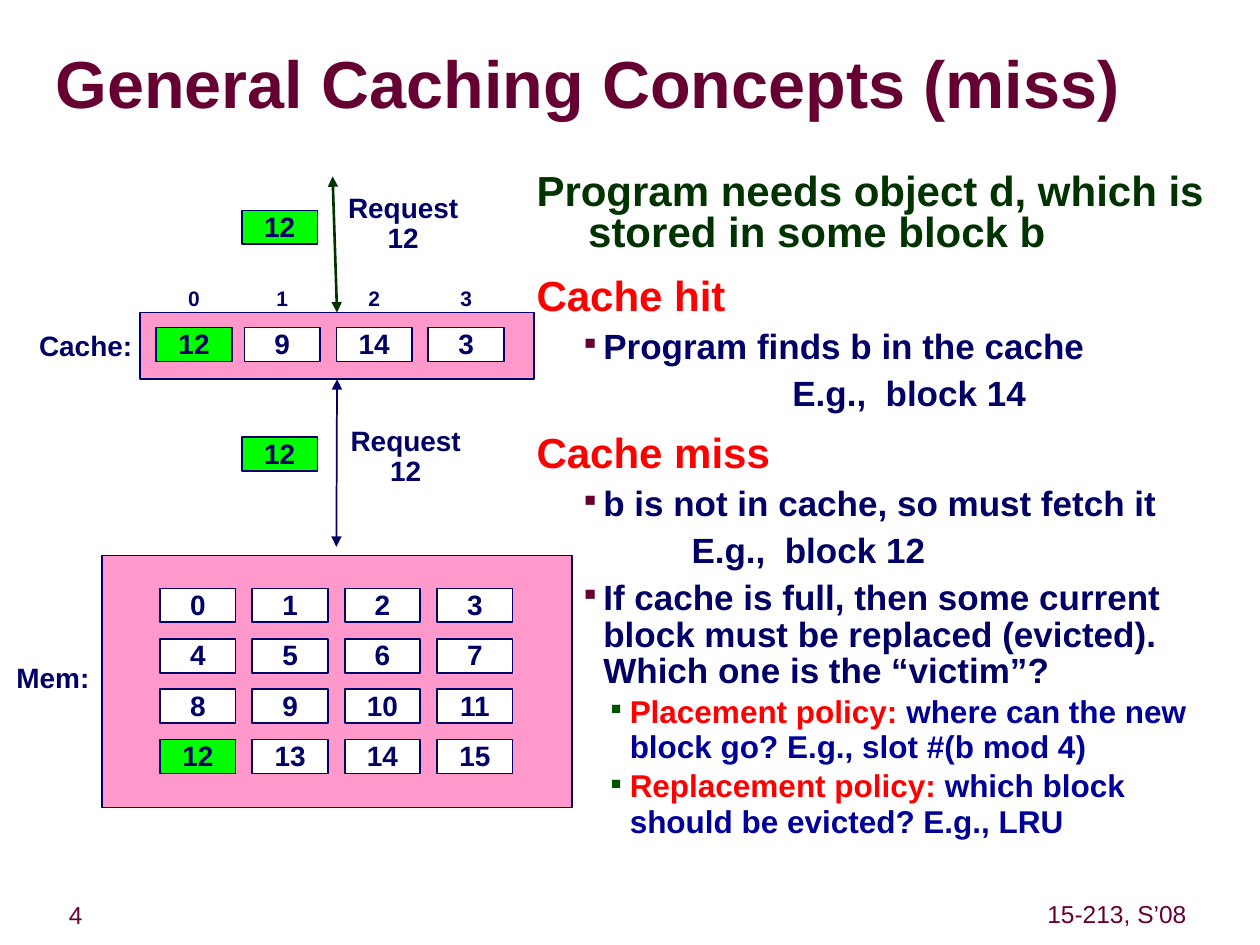
"""Build the slide on general caching concepts: a cache miss."""
from lxml import etree
from pptx import Presentation
from pptx import util as u
from pptx.dml.color import RGBColor
from pptx.enum import shapes, text
from pptx.oxml.ns import qn

COLORS = {"maroon": "660033", "navy": "000066", "blue": "000099", "red": "FF0000",
          "forest": "003300", "green": "005400", "lime": "00FF00", "pink": "FF99CC",
          "white": "FFFFFF"}
TITLE = "General Caching Concepts (miss)"
CACHE = ["12", "9", "14", "3"]
MEMORY = [[str(4 * row + column) for column in range(4)] for row in range(4)]
REQUESTED = "12"
REQUEST = ["Request", REQUESTED]
BODY = [
    ("topic", [("Program needs object d, which is stored in some block b", "forest")]),
    ("topic", [("Cache hit", "red")]),
    ("point", [("Program finds b in the cache", "navy")]),
    ("far example", [("E.g.,  block 14", "navy")]),
    ("topic", [("Cache miss", "red")]),
    ("point", [("b is not in cache, so must fetch it", "navy")]),
    ("near example", [("E.g.,  block 12", "navy")]),
    ("point", [("If cache is full, then some current block must be replaced (evicted). "
                "Which one is the “victim”?", "navy")]),
    ("policy", [("Placement policy:", "red"),
                (" where can the new block go? E.g., slot #(b mod 4)", "blue")]),
    ("policy", [("Replacement policy:", "red"),
                (" which block should be evicted? E.g., LRU", "blue")]),
]
STYLES = {
    "topic": dict(level=0, size=24, margin=0.42, indent=-0.41, spacing=0.83, before=12.5),
    "point": dict(level=1, size=20, margin=0.54, indent=-0.15, spacing=0.88, before=5.6,
                  bullet="maroon"),
    "far example": dict(level=1, size=20, margin=2.04, indent=0, spacing=0.88, before=5.6),
    "near example": dict(level=1, size=20, margin=1.24, indent=0, spacing=0.88, before=5.6),
    "policy": dict(level=2, size=18, margin=0.75, indent=-0.15, spacing=0.94, before=2,
                   bullet="green"),
}
BLOCK_WIDTH, BLOCK_HEIGHT = 0.6, 0.27
CACHE_COLUMNS = [1.24] + [1.94 + 0.73 * step for step in range(3)]
CACHE_TOP, INDEX_TOP, INDEX_WIDTH = 2.6, 2.24, 0.19
MEMORY_LEFT, MEMORY_TOP, COLUMN_STEP, ROW_STEP = 1.27, 4.67, 0.733, 0.4
REQUEST_LEFT = 1.92


def rgb(name):
    return RGBColor.from_string(COLORS[name])


def set_font(font, size, color=None, bold=True):
    font.name, font.size, font.bold = "Arial", u.Pt(size), bold
    if color:
        font.color.rgb = rgb(color)


def set_frame(frame, inset_x, inset_y, wrap, anchor):
    frame.margin_left = frame.margin_right = u.Inches(inset_x)
    frame.margin_top = frame.margin_bottom = u.Inches(inset_y)
    frame.auto_size = text.MSO_AUTO_SIZE.NONE
    frame.word_wrap, frame.vertical_anchor = wrap, anchor


def write_centred(shape, lines, size, color="navy", bold=True, spacing=0.88,
                  anchor=text.MSO_ANCHOR.MIDDLE):
    frame = shape.text_frame
    set_frame(frame, 0.05, 0.05, False, anchor)
    frame.text = "\n".join(lines)
    for paragraph in frame.paragraphs:
        paragraph.alignment = text.PP_ALIGN.CENTER
        paragraph.line_spacing = spacing
        set_font(paragraph.font, size, color, bold)


def add_label(slide, box, lines, size, **style):
    label = slide.shapes.add_textbox(*map(u.Inches, box))
    write_centred(label, lines, size, **style)
    return label


def add_rectangle(slide, box, fill):
    rectangle = slide.shapes.add_shape(shapes.MSO_SHAPE.RECTANGLE, *map(u.Inches, box))
    rectangle.shadow.inherit = False
    rectangle.fill.solid()
    rectangle.fill.fore_color.rgb = rgb(fill)
    rectangle.line.color.rgb = rgb("navy")
    rectangle.line.width = u.Pt(1)
    return rectangle


def add_block(slide, left, top, number):
    fill = "lime" if number == REQUESTED else "white"
    block = add_rectangle(slide, (left, top, BLOCK_WIDTH, BLOCK_HEIGHT), fill)
    write_centred(block, [number], 16, spacing=0.98)


def add_arrow(slide, start_shape, side, end, color, width):
    x, y = map(u.Inches, end)
    arrow = slide.shapes.add_connector(shapes.MSO_CONNECTOR.STRAIGHT, x, y, x, y)
    arrow.begin_connect(start_shape, side)
    arrow.line.color.rgb = rgb(color)
    arrow.line.width = u.Pt(width)
    line = arrow.line._get_or_add_ln()
    for end_tag in ("a:headEnd", "a:tailEnd"):
        etree.SubElement(line, qn(end_tag), type="triangle")
    etree.SubElement(arrow._element.spPr, qn("a:effectLst"))


def add_bullet(properties, color):
    bullet_color = etree.SubElement(properties, qn("a:buClr"))
    etree.SubElement(bullet_color, qn("a:srgbClr"), val=COLORS[color])
    etree.SubElement(properties, qn("a:buSzPct"), val="45000")
    etree.SubElement(properties, qn("a:buChar"), char="■")


def add_body(slide):
    frame = slide.shapes.add_textbox(*map(u.Inches, (4.15, 1.32, 5.7, 5.71))).text_frame
    set_frame(frame, 0.1, 0.05, True, text.MSO_ANCHOR.TOP)
    for position, (kind, runs) in enumerate(BODY):
        style = STYLES[kind]
        paragraph = frame.add_paragraph() if position else frame.paragraphs[0]
        paragraph.level = style["level"]
        paragraph.line_spacing = style["spacing"]
        paragraph.space_before = u.Pt(style["before"])
        properties = paragraph._p.get_or_add_pPr()
        properties.set("marL", str(u.Inches(style["margin"])))
        properties.set("indent", str(u.Inches(style["indent"])))
        if "bullet" in style:
            add_bullet(properties, style["bullet"])
        set_font(paragraph.font, style["size"])
        for words, color in runs:
            run = paragraph.add_run()
            run.text = words
            run.font.color.rgb = rgb(color)


def add_title(slide):
    title = slide.shapes.title
    title.left, title.top, title.width, title.height = map(u.Inches, (0.44, 0.27, 9.53, 0.86))
    set_frame(title.text_frame, 0, 0, True, text.MSO_ANCHOR.MIDDLE)
    title.text_frame.text = TITLE
    paragraph = title.text_frame.paragraphs[0]
    paragraph.alignment = text.PP_ALIGN.LEFT
    paragraph.line_spacing = 0.85
    set_font(paragraph.font, 38, "maroon")


def add_diagram(slide, cache):
    add_rectangle(slide, (0.81, 4.41, 3.73, 2), "pink")
    for row, numbers in enumerate(MEMORY):
        for column, number in enumerate(numbers):
            add_block(slide, MEMORY_LEFT + column * COLUMN_STEP,
                      MEMORY_TOP + row * ROW_STEP, number)
    for index, (left, number) in enumerate(zip(CACHE_COLUMNS, CACHE)):
        add_block(slide, left, CACHE_TOP, number)
        index_left = left + (BLOCK_WIDTH - INDEX_WIDTH) / 2
        add_label(slide, (index_left, INDEX_TOP, INDEX_WIDTH, 0.28), [str(index)], 12,
                  anchor=text.MSO_ANCHOR.TOP)
    add_label(slide, (0.21, 2.57, 0.94, 0.36), ["Cache:"], 16, spacing=0.98)
    add_label(slide, (0.03, 5.21, 0.78, 0.36), ["Mem:"], 16, spacing=0.98)
    add_arrow(slide, cache, 0, (2.64, 1.4), "forest", 1.5)
    add_arrow(slide, cache, 2, (2.67, 4.34), "navy", 1)
    for block_top, label_left, label_top in ((1.67, 2.71, 1.5), (3.47, 2.73, 3.35)):
        add_block(slide, REQUEST_LEFT, block_top, REQUESTED)
        add_label(slide, (label_left, label_top, 0.98, 0.57), REQUEST, 16,
                  anchor=text.MSO_ANCHOR.TOP)


def main():
    presentation = Presentation()
    presentation.slide_width, presentation.slide_height = u.Inches(10), u.Inches(7.5)
    slide = presentation.slides.add_slide(presentation.slide_layouts[5])
    add_title(slide)
    add_label(slide, (0.08, 7.12, 1.04, 0.31), ["4"], 14, color="maroon", bold=False)
    add_label(slide, (8.26, 7.11, 1.21, 0.31), ["15-213, S’08"], 14, color="maroon", bold=False)
    cache = add_rectangle(slide, (1.11, 2.48, 3.13, 0.53), "pink")
    add_body(slide)
    add_diagram(slide, cache)
    presentation.save("out.pptx")


if __name__ == "__main__":
    main()
